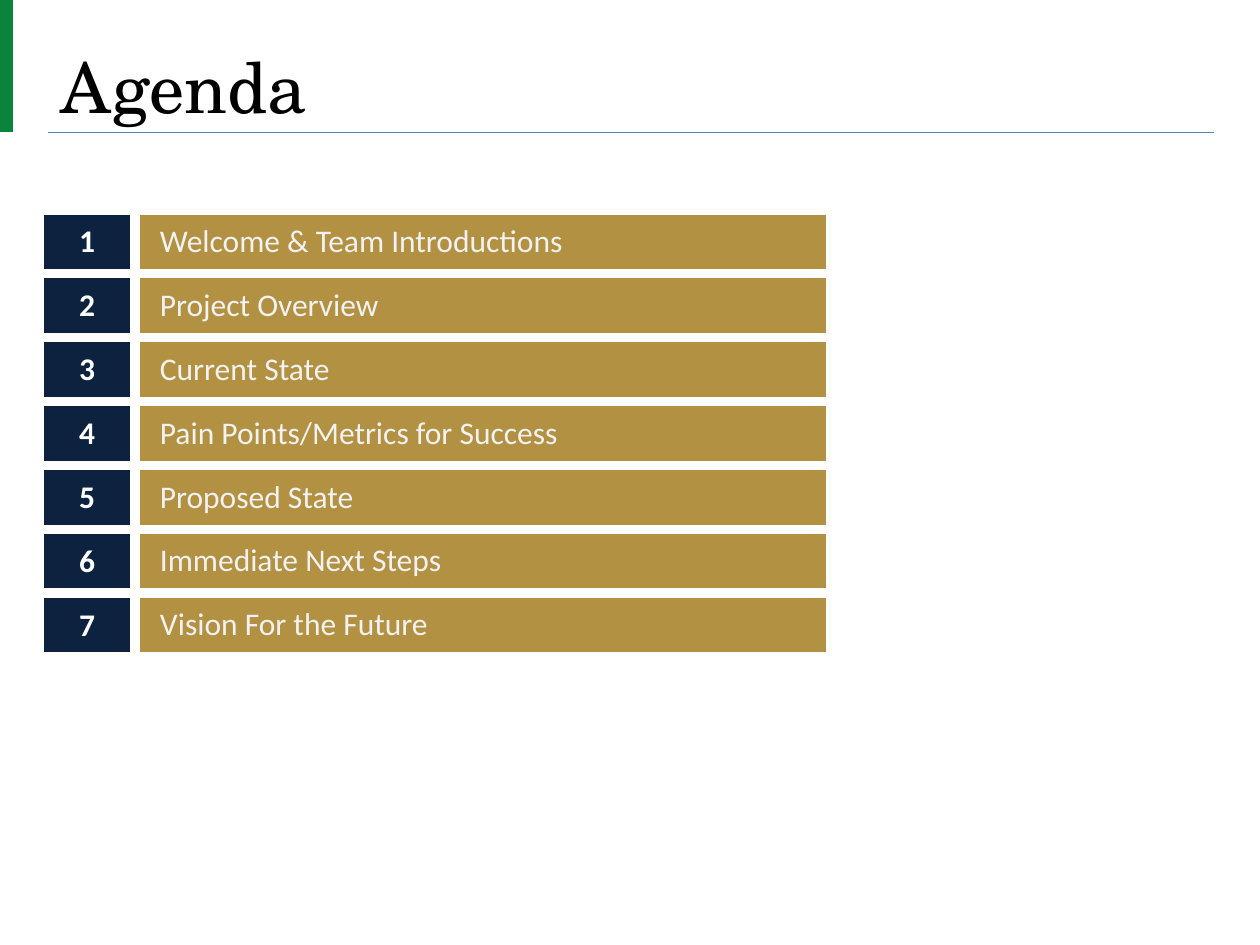
import pptx
import pptx.util
import pptx.dml.color
import pptx.enum.shapes
import pptx.enum.text
import pptx.oxml
import pptx.oxml.ns

RGB = pptx.dml.color.RGBColor
ALIGN = pptx.enum.text.PP_ALIGN
ANCHOR = pptx.enum.text.MSO_ANCHOR
SHAPES = pptx.enum.shapes.MSO_SHAPE

SCALE = 914400 // 126
BLACK = RGB(0x00, 0x00, 0x00)
WHITE = RGB(0xFF, 0xFF, 0xFF)
PALE = RGB(0xF2, 0xF2, 0xF2)
NAVY = RGB(0x0C, 0x22, 0x3F)
GOLD = RGB(0xB2, 0x91, 0x42)
GREEN = RGB(0x0A, 0x84, 0x3D)
BLUE = RGB(0x4F, 0x81, 0xBD)

TITLE = {"name": "TeX Gyre Schola", "size": pptx.util.Pt(40), "bold": False}
ENTRY = {"name": "Calibri", "size": pptx.util.Pt(18), "bold": False}
NUMBER = {**ENTRY, "bold": True}

TOPICS = [
    "Welcome & Team Introductions",
    "Project Overview",
    "Current State",
    "Pain Points/Metrics for Success",
    "Proposed State",
    "Immediate Next Steps",
    "Vision For the Future",
]


def px(*nums):
    return [pptx.util.Emu(num * SCALE) for num in nums]


def apply(target, values):
    for key, value in values.items():
        setattr(target, key, value)


def write(frame, text, style, color, align=ALIGN.LEFT):
    para = frame.paragraphs[0]
    para.text = text
    para.alignment = align
    font = para.runs[0].font
    apply(font, style)
    font.color.rgb = color


def add_title(slide, text):
    box = slide.shapes.add_textbox(*px(48, 44, 982, 77))
    frame = box.text_frame
    apply(frame, {"word_wrap": True, "margin_top": 0, "margin_bottom": 0,
                  "vertical_anchor": ANCHOR.TOP})
    write(frame, text, TITLE, BLACK)


def add_bar(slide):
    bar = slide.shapes.add_shape(SHAPES.RECTANGLE, *px(0, 0, 13, 132))
    bar.shadow.inherit = False
    bar.fill.solid()
    bar.fill.fore_color.rgb = GREEN
    bar.line.fill.background()


def add_rule(slide):
    kind = pptx.enum.shapes.MSO_CONNECTOR.STRAIGHT
    rule = slide.shapes.add_connector(kind, *px(48, 132, 1214, 132))
    rule.line.color.rgb = BLUE
    rule.line.width = pptx.util.Pt(0.5)
    props = rule._element.spPr
    props.append(props.makeelement(pptx.oxml.ns.qn("a:effectLst"), {}))


def add_edges(cell, color, width):
    props = cell._tc.get_or_add_tcPr()
    for spot, side in enumerate(("lnL", "lnR", "lnT", "lnB")):
        edge = pptx.oxml.parse_xml(
            f'<a:{side} {pptx.oxml.ns.nsdecls("a")} w="{pptx.util.Pt(width)}">'
            f'<a:solidFill><a:srgbClr val="{color}"/></a:solidFill></a:{side}>')
        props.insert(spot, edge)


def fill_cell(cell, text, style, color, fill, align, pad):
    side, edge = px(25, pad)
    apply(cell, {"margin_left": side, "margin_right": side,
                 "margin_top": edge, "margin_bottom": edge,
                 "vertical_anchor": ANCHOR.MIDDLE})
    cell.fill.solid()
    cell.fill.fore_color.rgb = fill
    write(cell.text_frame, text, style, color, align)
    add_edges(cell, WHITE, 6)


def add_agenda(slide, topics):
    count = len(topics)
    frame = slide.shapes.add_table(count, 2, *px(39, 210, 792, 63 * count))
    table = frame.table
    apply(table, {"first_row": False, "horz_banding": False})
    for column, width in zip(table.columns, px(96, 696)):
        column.width = width
    for row, topic in enumerate(topics):
        fill_cell(table.cell(row, 0), str(row + 1), NUMBER, WHITE, NAVY,
                  ALIGN.CENTER, 13)
        fill_cell(table.cell(row, 1), topic, ENTRY, PALE, GOLD,
                  ALIGN.LEFT, 13 if row < 2 else 5)


def main():
    deck = pptx.Presentation()
    deck.slide_width, deck.slide_height = px(1260, 945)
    slide = deck.slides.add_slide(deck.slide_layouts[6])
    add_rule(slide)
    add_bar(slide)
    add_title(slide, "Agenda")
    add_agenda(slide, TOPICS)
    deck.save("out.pptx")


if __name__ == "__main__":
    main()
